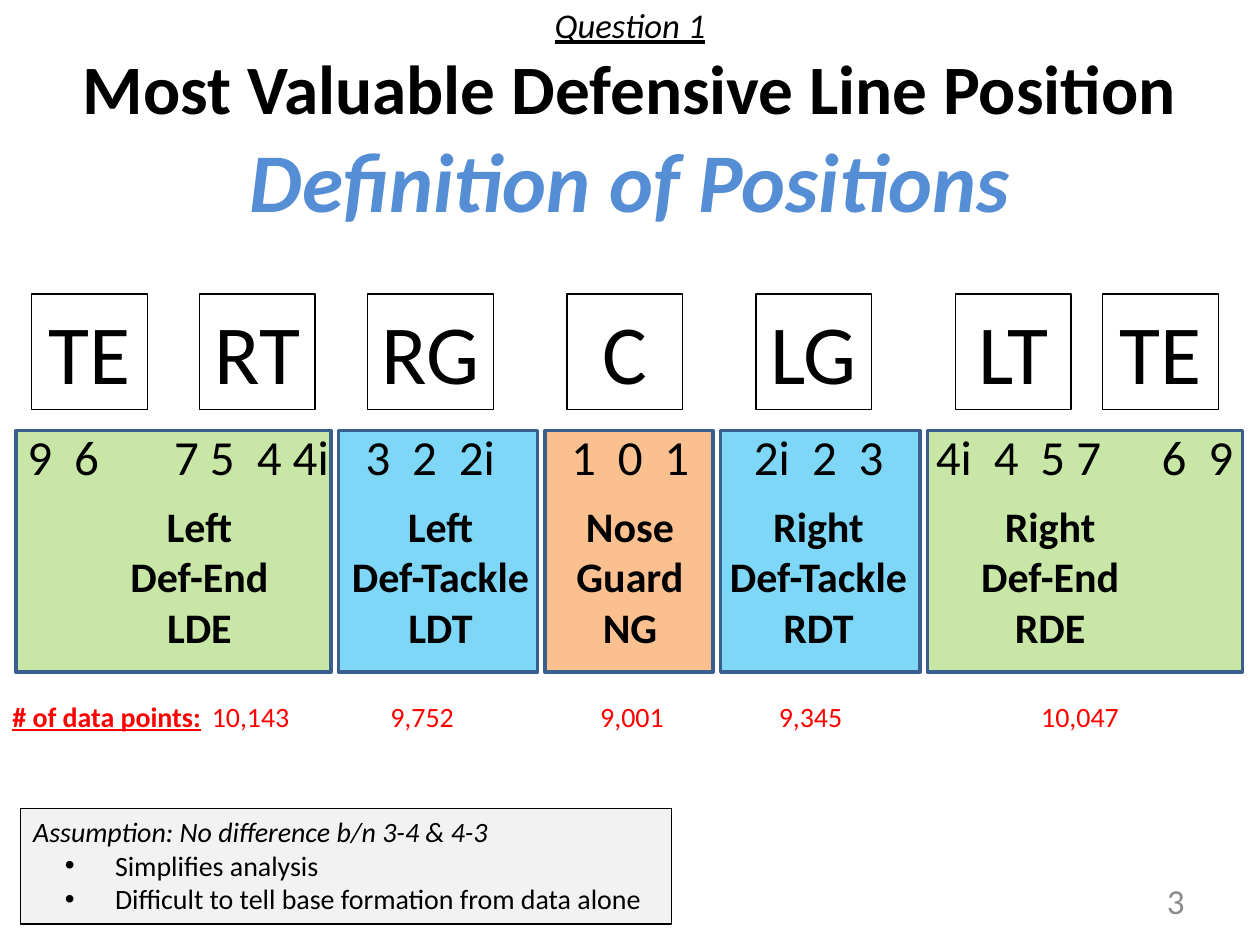
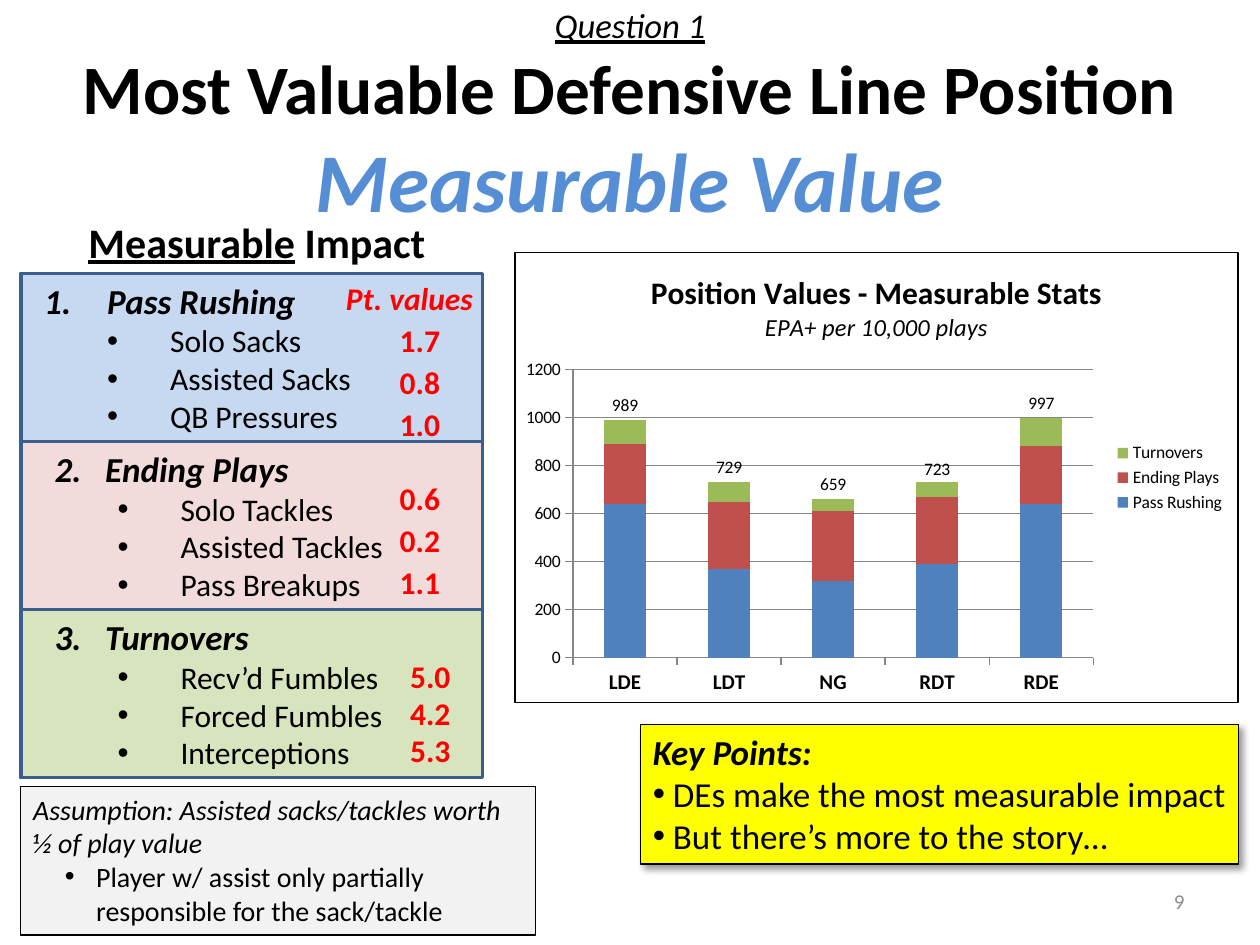
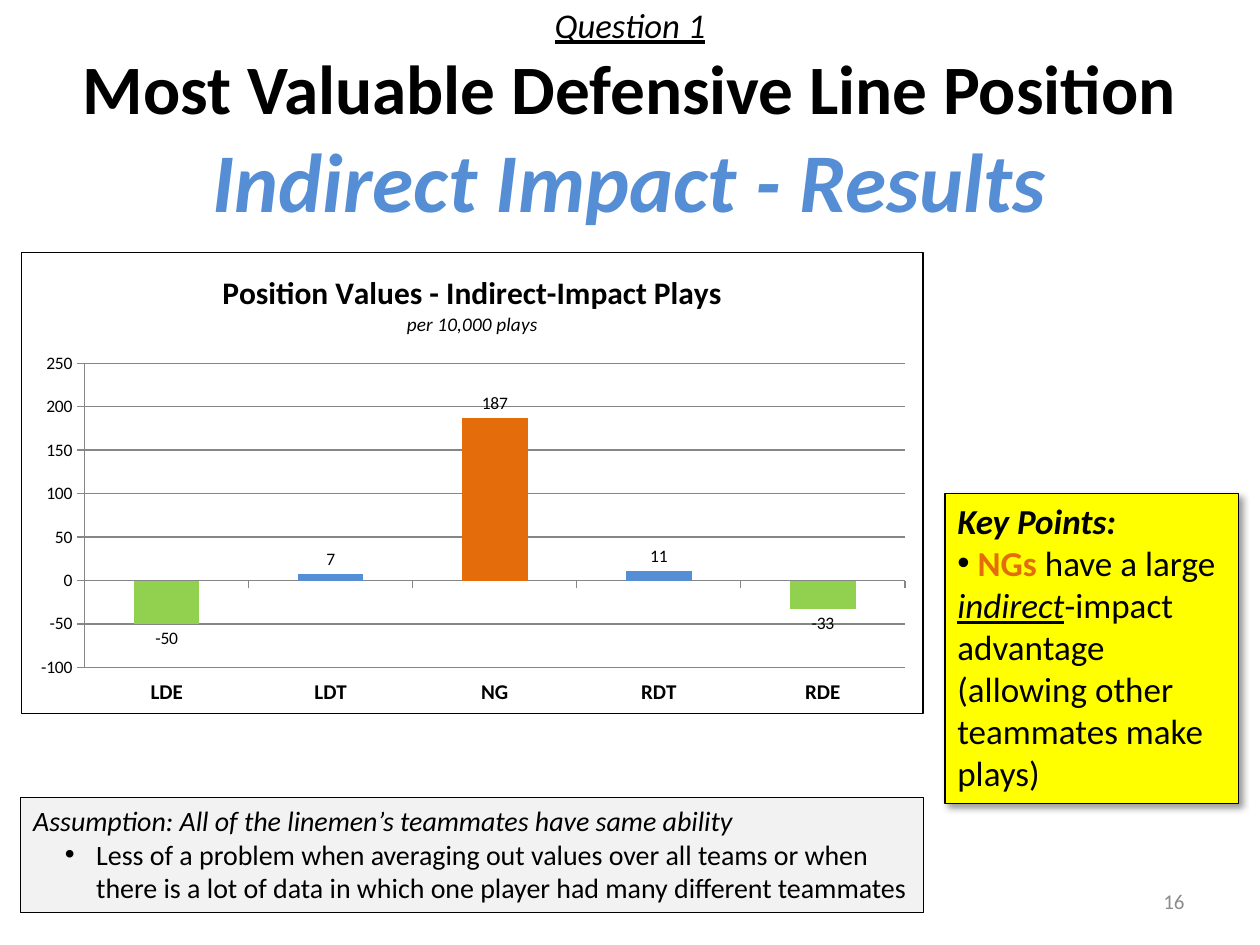
from copy import deepcopy
from dataclasses import dataclass

from pptx import Presentation, oxml
from pptx import util as u
from pptx.chart import data as chart_data
from pptx.dml import color as dml
from pptx.enum import chart as ch, shapes, text
from pptx.oxml import ns


@dataclass(frozen=True)
class Theme:
    font: str = "Calibri"
    ink: str = "000000"
    red: str = "FF0000"
    blue: str = "558ED5"
    orange: str = "E46C0A"
    green: str = "92D050"
    sky: str = "00B0F0"
    peach: str = "FAC090"
    edge: str = "3A5F8C"
    grid: str = "868686"
    page: str = "8C8C8C"
    note: str = "F2F2F2"
    yellow: str = "FFFF00"
    groups: tuple = ("C6D9F1", "F2DCDB", "D7E4BD")
    stack: tuple = ("4F81BD", "C0504D", "9BBB59")
    title_sizes: tuple = (19.8, 39.6, 47.7)
    letter: int = 48
    technique: int = 28
    heading: int = 24
    key: int = 20
    item: int = 18
    small: int = 16
    axis: int = 12
    chart: int = 10


theme = Theme()
rgb = dml.RGBColor.from_string
CENTER = text.PP_ALIGN.CENTER


def add_box(slide, left, top, width, height, lines=(), size=18, color=theme.ink, bold=False,
            italic=False, underline=False, align=None, fill=None, edge=None, edge_width=0.75):
    """Place text, in a rectangle when it has an edge; "|" divides a line into runs."""
    area = [u.Cm(length) for length in (left, top, width, height)]
    if edge:
        box = slide.shapes.add_shape(shapes.MSO_SHAPE.RECTANGLE, *area)
        box.shadow.inherit = False
        box.line.color.rgb, box.line.width = rgb(edge), u.Pt(edge_width)
        if fill:
            box.fill.solid()
            box.fill.fore_color.rgb = rgb(fill)
        else:
            box.fill.background()
    else:
        box = slide.shapes.add_textbox(*area)
    frame = box.text_frame
    frame.word_wrap = True
    frame.vertical_anchor = text.MSO_ANCHOR.TOP
    frame.text = "\n".join(lines)
    for paragraph in frame.paragraphs:
        paragraph.alignment = align or text.PP_ALIGN.LEFT
        first, *others = paragraph.text.split("|")
        paragraph.text = first
        for part in others:
            paragraph.add_run().text = part
        for run in paragraph.runs:
            font = run.font
            font.name, font.size, font.color.rgb = theme.font, u.Pt(size), rgb(color)
            font.bold, font.italic, font.underline = bold, italic, underline
    return box


def add_bullet(paragraph, left=0, hang=0, number=None):
    """Give a paragraph a dot, or a number."""
    props = paragraph._p.get_or_add_pPr()
    props.set("marL", str(u.Cm(left)))
    props.set("indent", str(-u.Cm(hang)))
    if number:
        mark = oxml.xmlchemy.OxmlElement("a:buAutoNum")
        mark.set("type", "arabicPeriod")
        mark.set("startAt", str(number))
    else:
        face = oxml.xmlchemy.OxmlElement("a:buFont")
        face.set("typeface", "Arial")
        props.append(face)
        mark = oxml.xmlchemy.OxmlElement("a:buChar")
        mark.set("char", "•")
    props.append(mark)


deck = Presentation()
deck.slide_width, deck.slide_height = u.Cm(25.4), u.Cm(19.05)

# Titles and page numbers
slides = []
for topic, page, page_size in (("Definition of Positions", "3", 20),
                               ("Measurable Value", "9", 12),
                               ("Indirect Impact - Results", "16", 12)):
    slide = deck.slides.add_slide(deck.slide_layouts[6])
    slides.append(slide)
    number = add_box(slide, 18.21, 17.65, 5.92, 1.02, [page], page_size, theme.page,
                     align=text.PP_ALIGN.RIGHT)
    title = add_box(slide, 1.27, 0.76, 22.86, 3.18,
                    [f"Question 1\vMost Valuable Defensive Line Position\v{topic}"], align=CENTER)
    for box in (number, title):
        box.text_frame.vertical_anchor = text.MSO_ANCHOR.MIDDLE
    heading = title.text_frame.paragraphs[0]
    heading.space_after = u.Pt(12)
    question, subject, subtitle = heading.runs
    for run, size in zip(heading.runs, theme.title_sizes):
        run.font.size = u.Pt(size)
    question.font.italic = question.font.underline = True
    subject.font.bold = subtitle.font.bold = subtitle.font.italic = True
    subtitle.font.color.rgb = rgb(theme.blue)
positions, measurable, indirect = slides

# Slide 1: defensive positions, with name, middle of the name and data points
zone_left = 0.32
for names, width, fill, middle, name_width, count, count_left in (
        (["Left", "Def-End", "LDE"], 6.35, theme.green, 4.02, 4.66, "10,143", 4.02),
        (["Left", "Def-Tackle", "LDT"], 4.02, theme.sky, 8.88, 4.66, "9,752", 7.62),
        (["Nose Guard", "NG"], 3.39, theme.peach, 12.7, 3.39, "9,001", 11.85),
        (["Right", "Def-Tackle", "RDT"], 4.02, theme.sky, 16.5, 4.66, "9,345", 15.45),
        (["Right", "Def-End", "RDE"], 6.35, theme.green, 21.17, 4.66, "10,047", 20.74)):
    zone = add_box(positions, zone_left, 8.68, width, 4.87, fill=fill, edge=theme.edge, edge_width=2)
    if fill != theme.peach:
        shade = zone._element.spPr.find(ns.qn("a:solidFill"))[0]
        oxml.xmlchemy.OxmlElement("a:alpha")
        alpha = oxml.xmlchemy.OxmlElement("a:alpha")
        alpha.set("val", "50000")
        shade.append(alpha)
    add_box(positions, middle - name_width / 2, 9.96, name_width, 3.33, names, theme.heading,
            bold=True, align=CENTER)
    add_box(positions, count_left, 13.97, 2.33, 0.93, [count], theme.small, theme.red)
    zone_left += width + 0.15
add_box(positions, 0, 13.97, 5.28, 0.93, ["# of data points:"], theme.small, theme.red,
        bold=True, underline=True)

# Offensive line
for player, left, width in (("TE", 0.64, 2.33), ("RT", 4.02, 2.33), ("RG", 7.41, 2.54),
                            ("C", 11.43, 2.33), ("LG", 15.24, 2.33), ("LT", 19.26, 2.33),
                            ("TE", 22.23, 2.33)):
    add_box(positions, left, 5.93, width, 2.32, [player], theme.letter, align=CENTER,
            edge=theme.ink)

# Technique numbers, spaced by tab stops and centred in their boxes
GAP = 0.44
for techniques, left, width in (("9\t6", 0.11, 2.33), ("7 5\t4 4i", 2.96, 4.23),
                                ("3\t2\t2i", 6.77, 3.81), ("1\t0\t1", 10.8, 3.81),
                                ("2i\t2\t3", 14.6, 3.81), ("4i\t4\t5 7", 18.42, 4.23),
                                ("6\t9", 22.87, 2.54)):
    box = add_box(positions, left, 8.47, width, 1.45, [techniques], theme.technique)
    tabs = oxml.xmlchemy.OxmlElement("a:tabLst")
    reach = 0
    for group in techniques.split("\t"):
        if reach:
            tab = oxml.xmlchemy.OxmlElement("a:tab")
            tab.set("pos", str(u.Cm(reach)))
            tab.set("algn", "l")
            tabs.append(tab)
        reach += GAP + sum(0.5 if sign.isdigit() else 0.23 for sign in group)
    box.text_frame.paragraphs[0]._p.get_or_add_pPr().append(tabs)
    box.text_frame.margin_left = u.Cm((width - reach + GAP) / 2)
    box.text_frame.margin_right = 0

# Slide 2: measurable impact groups with their point values
impact = add_box(measurable, 0, 4.23, 10.36, 1.27, ["Measurable| Impact"], theme.heading,
                 bold=True, align=CENTER)
impact.text_frame.paragraphs[0].runs[0].font.underline = True
for index, (group, plays, left, hang, points, points_left, points_top, step) in enumerate((
        ("Pass Rushing", ["Solo Sacks", "Assisted Sacks", "QB Pressures"],
         0.64, 1.27, ("1.7", "0.8", "1.0"), 7.62, 6.35, 0.85),
        ("Ending Plays", ["Solo Tackles", "Assisted Tackles", "Pass Breakups"],
         0.85, 1.02, ("0.6", "0.2", "1.1"), 7.62, 9.53, 0.85),
        ("Turnovers", ["Recv’d Fumbles", "Forced Fumbles", "Interceptions"],
         0.85, 1.02, ("5.0", "4.2", "5.3"), 7.83, 13.12, 0.75))):
    top = 5.51 + 3.39 * index
    add_box(measurable, 0.42, top, 9.31, 3.39, fill=theme.groups[index], edge=theme.edge,
            edge_width=2)
    listing = add_box(measurable, left, top, 11, 3.43, [group, *plays], theme.item)
    header, *entries = listing.text_frame.paragraphs
    add_bullet(header, hang, hang, index + 1)
    header_font = header.runs[0].font
    header_font.size, header_font.bold, header_font.italic = u.Pt(theme.key), True, True
    for entry in entries:
        add_bullet(entry, 2.54, 1.27)
    for row, value in enumerate(points):
        add_box(measurable, points_left, points_top + step * row, 1.69, 1.02, [value], theme.item,
                theme.red, bold=True, align=CENTER)
add_box(measurable, 6.56, 5.51, 3.39, 1.02, ["Pt. values"], theme.item, theme.red, bold=True,
        italic=True, align=CENTER)

# Stacked measurable values, with the totals as an unseen line that carries labels
CATEGORIES = ["LDE", "LDT", "NG", "RDT", "RDE"]
values = chart_data.CategoryChartData(number_format="0")
values.categories = CATEGORIES
for name, numbers in (("Pass Rushing", (640, 370, 320, 390, 640)),
                      ("Ending Plays", (250, 280, 290, 280, 240)),
                      ("Turnovers", (100, 80, 50, 60, 120)),
                      ("Series 4", (989, 729, 659, 723, 997))):
    values.add_series(name, numbers)
stacked = measurable.shapes.add_chart(ch.XL_CHART_TYPE.COLUMN_STACKED, u.Cm(10.37), u.Cm(5.08),
                                      u.Cm(14.6), u.Cm(9.1), values).chart
bars = stacked.plots[0]
bars.overlap = 100
total = bars.series[3]._element
for extra in total.findall(ns.qn("c:invertIfNegative")):
    total.remove(extra)
columns = total.getparent()
line = oxml.parse_xml(f'<c:lineChart {ns.nsdecls("c")}><c:grouping val="stacked"/>'
                      '<c:varyColors val="0"/><c:marker val="1"/></c:lineChart>')
line.insert(2, total)
for axis_id in columns.findall(ns.qn("c:axId")):
    line.append(deepcopy(axis_id))
columns.addnext(line)
totals = stacked.plots[1].series[0]
totals.smooth = False
totals.format.line.fill.background()
totals.marker.style = ch.XL_MARKER_STYLE.NONE
totals.data_labels.position = ch.XL_LABEL_POSITION.ABOVE
for series, shade in zip(bars.series, theme.stack):
    series.format.fill.solid()
    series.format.fill.fore_color.rgb = rgb(shade)
stacked.has_legend = True
stacked.legend.position = ch.XL_LEGEND_POSITION.RIGHT
stacked.legend.include_in_layout = False
stacked.legend._element.find(ns.qn("c:legendPos")).addnext(oxml.parse_xml(
    f'<c:legendEntry {ns.nsdecls("c")}><c:idx val="3"/><c:delete val="1"/></c:legendEntry>'))

# Slide 3: indirect impact by position
values = chart_data.CategoryChartData(number_format="0")
values.categories = CATEGORIES
values.add_series("Series 1", (-50, 7, 187, 11, -33))
clustered = indirect.shapes.add_chart(ch.XL_CHART_TYPE.COLUMN_CLUSTERED, u.Cm(0.42), u.Cm(5.08),
                                      u.Cm(18.2), u.Cm(9.32), values).chart
clustered.has_legend = False
clustered.category_axis.tick_label_position = ch.XL_TICK_LABEL_POSITION.LOW
plays = clustered.plots[0].series[0]
plays.invert_if_negative = False
plays.format.fill.solid()
plays.format.fill.fore_color.rgb = rgb(theme.green)
for index, shade in ((1, theme.blue), (2, theme.orange), (3, theme.blue)):
    bar = plays.points[index].format.fill
    bar.solid()
    bar.fore_color.rgb = rgb(shade)
plays.data_labels.position = ch.XL_LABEL_POSITION.OUTSIDE_END

# What both charts share
for chart, labelled, name, basis, basis_size, low, high, unit, layout in (
        (stacked, totals, "Position Values - Measurable Stats", "EPA+ per 10,000 plays", 14,
         0, 1200, 200, (0.08, 0.26, 0.72, 0.64)),
        (clustered, plays, "Position Values - Indirect-Impact Plays", "per 10,000 plays", 11,
         -100, 250, 50, (0.07, 0.24, 0.91, 0.66))):
    chart.font.name, chart.font.size = theme.font, u.Pt(theme.chart)
    chart.font.color.rgb = rgb(theme.ink)
    chart.plots[0].gap_width = 150
    chart.plots[0].vary_by_categories = False
    labels = labelled.data_labels
    labels.show_value = True
    labels.number_format, labels.number_format_is_linked = "0", False
    caption = chart.chart_title.text_frame
    caption.text = f"{name}\n{basis}"
    for paragraph, size, main in zip(caption.paragraphs, (18, basis_size), (True, False)):
        font = paragraph.runs[0].font
        font.name, font.size, font.color.rgb = theme.font, u.Pt(size), rgb(theme.ink)
        font.bold, font.italic = main, not main
    chart.chart_title.include_in_layout = False
    scale = chart.value_axis
    scale.minimum_scale, scale.maximum_scale, scale.major_unit = low, high, unit
    scale.tick_labels.number_format, scale.tick_labels.number_format_is_linked = "0", False
    scale.major_gridlines.format.line.color.rgb = rgb(theme.grid)
    for axis in (scale, chart.category_axis):
        axis.major_tick_mark = ch.XL_TICK_MARK.OUTSIDE
        axis.format.line.color.rgb = rgb(theme.grid)
    chart.category_axis.tick_labels.font.size = u.Pt(theme.axis)
    chart.category_axis.tick_labels.font.bold = True
    # Plot area and border
    area = chart.element.chart.plotArea
    for automatic in area.findall(ns.qn("c:layout")):
        area.remove(automatic)
    places = "".join(f'<c:{key} val="{share}"/>' for key, share in zip("xywh", layout))
    area.insert(0, oxml.parse_xml(
        f'<c:layout {ns.nsdecls("c")}><c:manualLayout><c:layoutTarget val="inner"/>'
        f'<c:xMode val="edge"/><c:yMode val="edge"/>{places}</c:manualLayout></c:layout>'))
    chart.element.chart.addnext(oxml.parse_xml(
        f'<c:spPr {ns.nsdecls("c", "a")}><a:ln w="9525"><a:solidFill>'
        f'<a:srgbClr val="{theme.ink}"/></a:solidFill></a:ln></c:spPr>'))

# Key points
for slide, left, top, width, height, points in (
        (measurable, 12.91, 14.6, 12.06, 2.82,
         [" DEs make the most measurable impact", " But there’s more to the story…"]),
        (indirect, 19.05, 9.95, 5.92, 6.25,
         [" |NGs| have a large |indirect|-impact advantage (allowing other teammates make plays)"])):
    box = add_box(slide, left, top, width, height, ["Key Points:", *points], theme.key,
                  fill=theme.yellow, edge=theme.ink)
    box._element.spPr.find(ns.qn("a:effectLst")).append(oxml.parse_xml(
        f'<a:outerShdw {ns.nsdecls("a")} blurRad="50800" dist="38100" dir="2700000" algn="tl" '
        f'rotWithShape="0"><a:srgbClr val="{theme.ink}"><a:alpha val="40000"/></a:srgbClr>'
        '</a:outerShdw>'))
    header, *points = box.text_frame.paragraphs
    header.runs[0].font.bold = header.runs[0].font.italic = True
    for point in points:
        add_bullet(point)
guards, emphasis = points[0].runs[1], points[0].runs[3]
guards.font.bold, guards.font.color.rgb = True, rgb(theme.orange)
emphasis.font.italic = emphasis.font.underline = True

# Assumptions
for slide, top, width, height, left_indent, hang, assumption, reasons in (
        (positions, 16.3, 13.12, 2.33, 1.65, 1.01, "No difference b/n 3-4 & 4-3",
         ["Simplifies analysis", "Difficult to tell base formation from data alone"]),
        (measurable, 15.85, 10.37, 3, 1.27, 0.63, "Assisted sacks/tackles worth ½ of play value",
         ["Player w/ assist only partially responsible for the sack/tackle"]),
        (indirect, 16.08, 18.2, 2.32, 1.27, 0.63,
         "All of the linemen’s teammates have same ability",
         ["Less of a problem when averaging out values over all teams or when there is a lot of "
          "data in which one player had many different teammates"])):
    box = add_box(slide, 0.42, top, width, height, [f"Assumption: {assumption}", *reasons],
                  theme.small, fill=theme.note, edge=theme.ink)
    header, *reasons = box.text_frame.paragraphs
    header.runs[0].font.italic = True
    for reason in reasons:
        add_bullet(reason, left_indent, hang)

deck.save("out.pptx")
